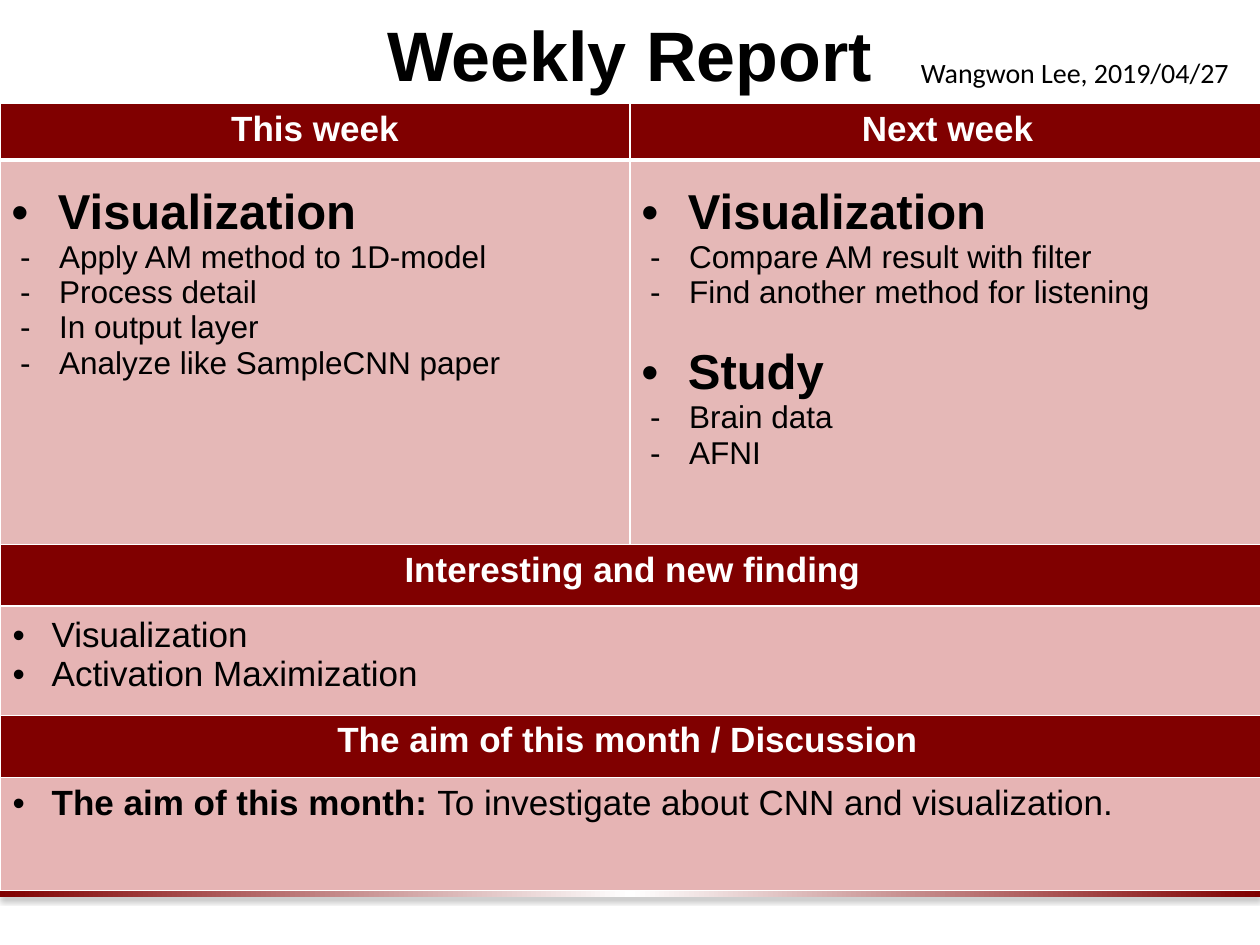
from copy import deepcopy
from dataclasses import dataclass

from lxml import etree
from pptx import Presentation, util as u
from pptx.dml.color import RGBColor
from pptx.enum import shapes, text
from pptx.oxml import ns

Inches, Pt = u.Inches, u.Pt


@dataclass(frozen=True)
class Theme:
    maroon: str = "800000"
    rose: str = "E5B8B7"
    pink: str = "E6B4B4"
    white: str = "FFFFFF"
    black: str = "000000"
    title: int = 40
    topic: int = 28
    body: int = 20
    item: int = 18
    byline: int = 16


theme = Theme()


def add_run(paragraph, words, size, bold=False, color=theme.black, face="Arial"):
    run = paragraph.add_run()
    run.text = words
    for name, value in {"size": Pt(size), "bold": bold, "name": face}.items():
        setattr(run.font, name, value)
    run.font.color.rgb = RGBColor.from_string(color)


def add_xml(parent, tag, color=None, **attributes):
    """Append a DrawingML element, optionally holding an RGB colour."""
    child = etree.SubElement(parent, ns.qn(tag), {k: str(v) for k, v in attributes.items()})
    if color:
        etree.SubElement(child, ns.qn("a:srgbClr"), val=color)
    return child


prs = Presentation()
prs.slide_width, prs.slide_height = Inches(10), Inches(7.5)
slide = prs.slides.add_slide(prs.slide_layouts[6])

# Footer band: maroon fading to white in the middle, with a soft shadow
band = slide.shapes.add_shape(
    shapes.MSO_SHAPE.RECTANGLE, Inches(0), Inches(7.07), Inches(10), Inches(0.05))
band.line.fill.background()
band.fill.gradient()
band.fill.gradient_angle = 0
stop_list = band._element.spPr.find(".//" + ns.qn("a:gsLst"))
stop_list.append(deepcopy(stop_list[0]))
for stop, position, color in zip(
        band.fill.gradient_stops, (0, 0.5, 1), (theme.maroon, theme.white, theme.maroon)):
    stop.position = position
    stop.color.rgb = RGBColor.from_string(color)
effects = add_xml(band._element.spPr, "a:effectLst")
shadow = add_xml(effects, "a:outerShdw", theme.black, blurRad=Pt(3.1), dist=Pt(1.8),
                 dir=90 * 60000, rotWithShape=0)
add_xml(shadow[0], "a:alpha", val=35000)

# Title and byline
headings = [
    ("Weekly Report", (0.01, 0.03, 9.97, 0.79), theme.title, True, "Arial",
     text.MSO_ANCHOR.MIDDLE, text.PP_ALIGN.CENTER),
    ("Wangwon Lee, 2019/04/27", (7.21, 0.39, 2.82, 0.4), theme.byline, False, "Calibri",
     text.MSO_ANCHOR.TOP, text.PP_ALIGN.LEFT),
]
for words, place, size, bold, face, anchor, align in headings:
    frame = slide.shapes.add_textbox(*map(Inches, place)).text_frame
    frame.word_wrap = True
    frame.vertical_anchor = anchor
    frame.paragraphs[0].alignment = align
    add_run(frame.paragraphs[0], words, size, bold, face=face)

# Report table
column_widths = (5, 5.04)
row_heights = (0.45, 3.05, 0.49, 0.87, 0.49, 0.9)
report = slide.shapes.add_table(
    len(row_heights), len(column_widths), Inches(0), Inches(0.82),
    Inches(sum(column_widths)), Inches(sum(row_heights))).table
report.first_row = report.horz_banding = False
for column, width in zip(report.columns, column_widths):
    column.width = Inches(width)
for row, height in zip(report.rows, row_heights):
    row.height = Inches(height)

row_fills = (theme.maroon, theme.rose, theme.maroon, theme.pink, theme.maroon, theme.pink)
row_insets = ((0.1, 0.05), (0, 0.2), (0.1, 0.05), (0.1, 0.08), (0.1, 0.04), (0.1, 0.05))
for r, (color, (side, end)) in enumerate(zip(row_fills, row_insets)):
    for cell in report.rows[r].cells:
        cell.margin_left = cell.margin_right = Inches(side)
        cell.margin_top = cell.margin_bottom = Inches(end)
        borders = {"a:lnL": 0.96, "a:lnR": 0.96,
                   "a:lnT": 3 if r == 1 else 0.96, "a:lnB": 3 if r == 0 else 0.96}
        for edge, weight in borders.items():
            line = add_xml(cell._tc.get_or_add_tcPr(), edge, w=Pt(weight))
            add_xml(line, "a:solidFill", theme.white)
        cell.fill.solid()
        cell.fill.fore_color.rgb = RGBColor.from_string(color)
    if r > 1:
        report.cell(r, 0).merge(report.cell(r, 1))

section_heads = {
    (0, 0): "This week",
    (0, 1): "Next week",
    (2, 0): "Interesting and new finding",
    (4, 0): "The aim of this month / Discussion ",
}
for place, words in section_heads.items():
    paragraph = report.cell(*place).text_frame.paragraphs[0]
    paragraph.alignment = text.PP_ALIGN.CENTER
    add_run(paragraph, words, theme.body, True, theme.white)

# Level: bullet, left margin, hanging indent, size, bold
levels = {
    "topic": ("•", 0.46, 0.37, theme.topic, True),
    "item": ("-", 0.47, 0.31, theme.item, False),
    "point": ("•", 0.31, 0.31, theme.body, False),
}
section_bodies = {
    (1, 0): [("topic", "Visualization"),
             ("item", "Apply AM method to 1D-model"),
             ("item", "Process detail"),
             ("item", "In output layer"),
             ("item", "Analyze like SampleCNN paper")],
    (1, 1): [("topic", "Visualization"),
             ("item", "Compare AM result with filter"),
             ("item", "Find another method for listening"),
             ("topic", "Study"),
             ("item", "Brain data"),
             ("item", "AFNI")],
    (3, 0): [("point", "Visualization"),
             ("point", "Activation Maximization")],
    (5, 0): [("point", "The aim of this month: ",
              "To investigate about CNN and visualization.")],
}
for place, entries in section_bodies.items():
    frame = report.cell(*place).text_frame
    for i, (level, *parts) in enumerate(entries):
        bullet, margin, hanging, size, bold = levels[level]
        paragraph = frame.add_paragraph() if i else frame.paragraphs[0]
        if i and level == "topic":
            paragraph.space_before = Inches(0.28)
        properties = paragraph._p.get_or_add_pPr()
        properties.set("marL", str(Inches(margin)))
        properties.set("indent", str(-Inches(hanging)))
        add_xml(properties, "a:buClr", theme.black)
        add_xml(properties, "a:buFont", typeface="Arial")
        add_xml(properties, "a:buChar", char=bullet)
        for k, words in enumerate(parts):
            lead_in = len(parts) > 1 and k == 0
            add_run(paragraph, words, size, bold or lead_in)

prs.save("out.pptx")
